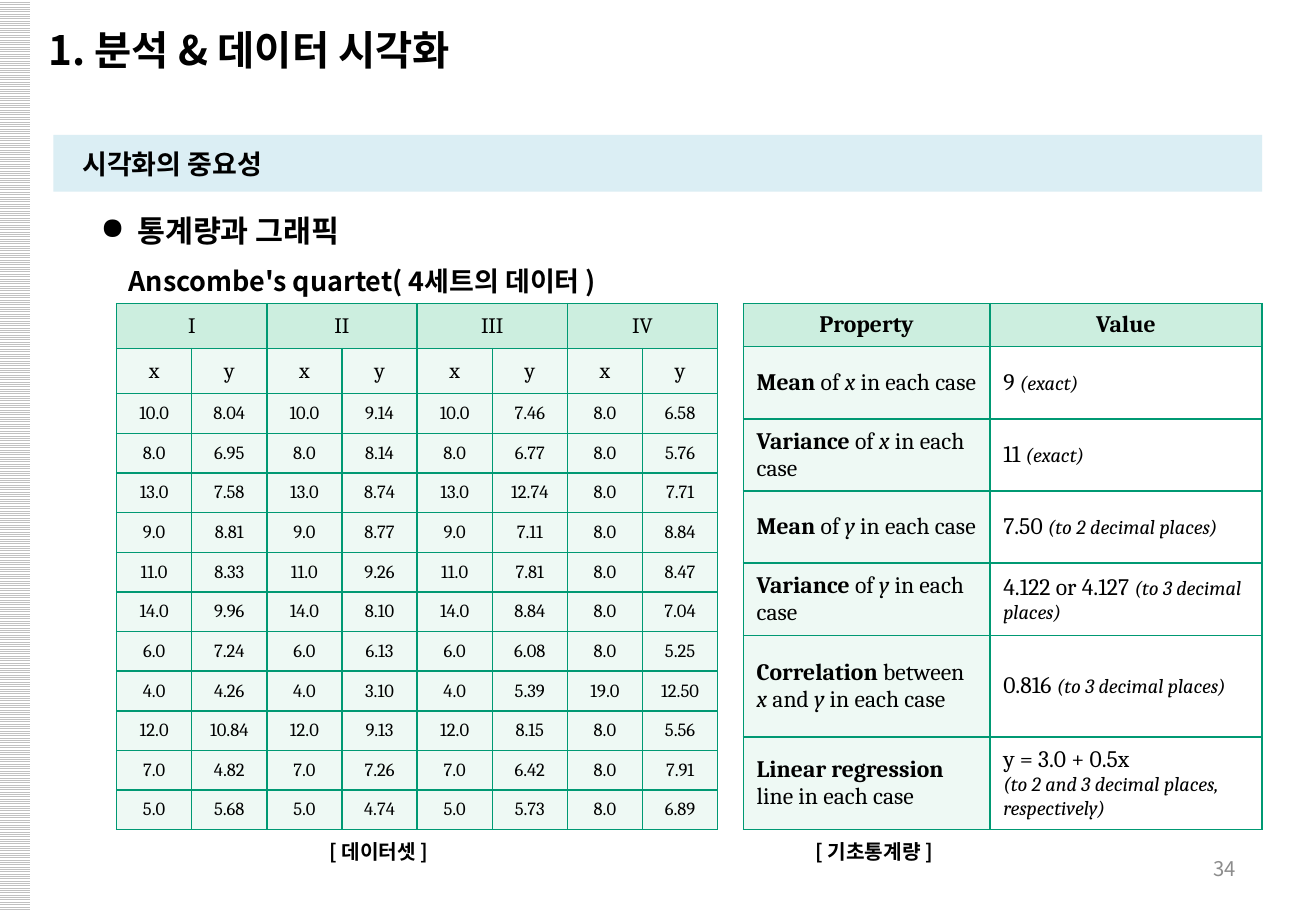
from dataclasses import dataclass
from typing import Any, NamedTuple, Optional

from lxml import etree
from pptx import Presentation
from pptx.dml.color import RGBColor
from pptx.enum import dml, shapes, text
from pptx.oxml import ns
from pptx.util import Pt

BLACK = RGBColor(0x00, 0x00, 0x00)
WHITE = RGBColor(0xFF, 0xFF, 0xFF)
PAGE_GREY = RGBColor(0x8C, 0x8C, 0x8C)
STRIPE_GREY = RGBColor(0xC0, 0xC0, 0xC0)
BAND_BLUE = RGBColor(0xDB, 0xEE, 0xF4)
HEADER_GREEN = RGBColor(0xCC, 0xEE, 0xDF)
BODY_GREEN = RGBColor(0xEE, 0xF9, 0xF4)
BORDER_GREEN = RGBColor(0x00, 0x99, 0x73)

SANS, SERIF = "Noto Sans CJK KR", "Cambria"
LEFT, CENTER, RIGHT = text.PP_ALIGN.LEFT, text.PP_ALIGN.CENTER, text.PP_ALIGN.RIGHT
TOP, MIDDLE = text.MSO_ANCHOR.TOP, text.MSO_ANCHOR.MIDDLE

# Character formats of the tables
HEADING = {"name": SERIF, "size": Pt(13)}
FIGURE = {"name": SERIF, "size": Pt(11)}
PLAIN = {"name": SERIF, "size": Pt(14), "bold": False, "italic": False}
STRONG = PLAIN | {"bold": True}
VARIABLE = PLAIN | {"italic": True}
NOTE = VARIABLE | {"size": Pt(12)}


class Span(NamedTuple):
    words: str
    style: dict[str, Any]


@dataclass
class Label:
    words: str
    left: float
    top: float
    width: float
    height: float
    size: float
    bold: bool = True
    color: RGBColor = BLACK
    align: text.PP_ALIGN = LEFT
    anchor: text.MSO_ANCHOR = TOP
    wrap: bool = True
    fill: Optional[RGBColor] = None
    margin: float = 0
    indent: float = 0
    spacing: float = 1.0
    bullet: str = ""


@dataclass
class CellLook:
    fill: Optional[RGBColor]
    align: text.PP_ALIGN
    side: float
    edge: float


LABELS = [
    Label("34", 571.7, 500.4, 167.8, 28.8, 12, bold=False, color=PAGE_GREY,
          align=RIGHT, anchor=MIDDLE),
    Label("1. 분석 & 데이터 시각화", 21.6, 11.5, 702, 43.2, 24),
    Label("시각화의 중요성", 31.7, 79.9, 716.4, 33.8, 16, fill=BAND_BLUE,
          margin=21.6, indent=-11.5, spacing=1.2),
    Label("통계량과 그래픽", 52.6, 118.1, 166.3, 33.8, 18, wrap=False,
          margin=21.6, indent=-21.6, spacing=1.2, bullet="●"),
    Label("Anscombe's quartet( 4세트의 데이터 )", 69.1, 153.4, 596.2, 26.6, 16),
    Label("[ 데이터셋 ]", 144.6, 493.9, 160, 21.6, 12, align=CENTER),
    Label("[ 기초통계량 ]", 438.2, 493.9, 160, 21.6, 12, align=CENTER),
]

SETS = ["I", "II", "III", "IV"]
QUARTET = [row.split() for row in (
    "10.0 8.04 10.0 9.14 10.0 7.46 8.0 6.58",
    "8.0 6.95 8.0 8.14 8.0 6.77 8.0 5.76",
    "13.0 7.58 13.0 8.74 13.0 12.74 8.0 7.71",
    "9.0 8.81 9.0 8.77 9.0 7.11 8.0 8.84",
    "11.0 8.33 11.0 9.26 11.0 7.81 8.0 8.47",
    "14.0 9.96 14.0 8.10 14.0 8.84 8.0 7.04",
    "6.0 7.24 6.0 6.13 6.0 6.08 8.0 5.25",
    "4.0 4.26 4.0 3.10 4.0 5.39 19.0 12.50",
    "12.0 10.84 12.0 9.13 12.0 8.15 8.0 5.56",
    "7.0 4.82 7.0 7.26 7.0 6.42 8.0 7.91",
    "5.0 5.68 5.0 4.74 5.0 5.73 8.0 6.89",
)]


def moment(name: str, variable: str) -> list[list[Span]]:
    return [[Span(name, STRONG), Span(" of ", PLAIN), Span(variable, VARIABLE),
             Span(" in each case", PLAIN)]]


def result(value: str, note: str) -> list[list[Span]]:
    return [[Span(f"{value} ", PLAIN), Span(note, NOTE)]]


STATISTICS = [
    (moment("Mean", "x"), result("9", "(exact)")),
    (moment("Variance", "x"), result("11", "(exact)")),
    (moment("Mean", "y"), result("7.50", "(to 2 decimal places)")),
    (moment("Variance", "y"), result("4.122 or 4.127", "(to 3 decimal places)")),
    ([[Span("Correlation", STRONG), Span(" between ", PLAIN), Span("x", VARIABLE),
       Span(" and ", PLAIN), Span("y", VARIABLE), Span(" in each case", PLAIN)]],
     result("0.816", "(to 3 decimal places)")),
    ([[Span("Linear regression ", STRONG), Span("line in each case", PLAIN)]],
     [[Span("y = 3.0 + 0.5x", PLAIN)],
      [Span("(to 2 and 3 decimal places, respectively)", NOTE)]]),
]


def add_element(parent, tag: str, **attributes: str):
    return etree.SubElement(parent, ns.qn(tag), attributes)


def add_span(para, span: Span, color: RGBColor = BLACK) -> None:
    run = para.add_run()
    run.text = span.words
    for key, value in span.style.items():
        setattr(run.font, key, value)
    run.font.color.rgb = color
    add_element(run._r.get_or_add_rPr(), "a:ea", typeface=span.style["name"])


def add_label(page, label: Label) -> None:
    place = [Pt(n) for n in (label.left, label.top, label.width, label.height)]
    if label.fill is None:
        box = page.shapes.add_textbox(*place)
    else:
        box = page.shapes.add_shape(shapes.MSO_SHAPE.RECTANGLE, *place)
        box.shadow.inherit = False
        box.fill.solid()
        box.fill.fore_color.rgb = label.fill
        box.line.fill.background()
    box.text_frame.word_wrap = label.wrap
    box.text_frame.vertical_anchor = label.anchor
    para = box.text_frame.paragraphs[0]
    para.alignment = label.align
    para.line_spacing = label.spacing
    properties = para._p.get_or_add_pPr()
    properties.set("marL", str(Pt(label.margin)))
    properties.set("indent", str(Pt(label.indent)))
    if label.bullet:
        add_element(properties, "a:buChar", char=label.bullet)
    style = {"name": SANS, "size": Pt(label.size), "bold": label.bold}
    add_span(para, Span(label.words, style), label.color)


def add_grid(page, left: float, top: float, widths: list[float], heights: list[float]):
    frame = page.shapes.add_table(len(heights), len(widths), Pt(left), Pt(top),
                                  Pt(sum(widths)), Pt(sum(heights)))
    grid = frame.table
    grid.first_row = grid.horz_banding = False
    for column, width in zip(grid.columns, widths):
        column.width = Pt(width)
    for row, height in zip(grid.rows, heights):
        row.height = Pt(height)
    for cell in grid.iter_cells():
        for side in ("a:lnL", "a:lnR", "a:lnT", "a:lnB"):
            line = add_element(cell._tc.get_or_add_tcPr(), side, w=str(Pt(1)))
            add_element(add_element(line, "a:solidFill"), "a:srgbClr", val=str(BORDER_GREEN))
    return grid


def fill_cell(cell, paragraphs: list[list[Span]], look: CellLook) -> None:
    cell.vertical_anchor = MIDDLE
    cell.margin_left = cell.margin_right = Pt(look.side)
    cell.margin_top = cell.margin_bottom = Pt(look.edge)
    if look.fill is None:
        cell.fill.background()
    else:
        cell.fill.solid()
        cell.fill.fore_color.rgb = look.fill
    frame = cell.text_frame
    for index, spans in enumerate(paragraphs):
        para = frame.add_paragraph() if index else frame.paragraphs[0]
        para.alignment = look.align
        for span in spans:
            add_span(para, span)


def add_quartet(page) -> None:
    grid = add_grid(page, 69.1, 180, [44.55] * 8, [26.7] * 2 + [23.5] * len(QUARTET))
    for index, name in enumerate(SETS):
        head = grid.cell(0, 2 * index)
        head.merge(grid.cell(0, 2 * index + 1))
        fill_cell(head, [[Span(name, HEADING)]], CellLook(HEADER_GREEN, CENTER, 5.8, 2.9))
    for row, values in enumerate([["x", "y"] * len(SETS)] + QUARTET, start=1):
        style = HEADING if row == 1 else FIGURE
        for column, value in enumerate(values):
            fill_cell(grid.cell(row, column), [[Span(value, style)]],
                      CellLook(BODY_GREEN, CENTER, 5.8, 2.9))


def add_statistics(page) -> None:
    grid = add_grid(page, 440.6, 180, [146.2, 161.3], [25.5] + [42.8] * 4 + [60.4, 54.9])
    for column, name in enumerate(("Property", "Value")):
        fill_cell(grid.cell(0, column), [[Span(name, STRONG)]],
                  CellLook(HEADER_GREEN, CENTER, 7.9, 3.6))
    for row, pair in enumerate(STATISTICS, start=1):
        for column, (paragraphs, fill) in enumerate(zip(pair, (BODY_GREEN, None))):
            fill_cell(grid.cell(row, column), paragraphs, CellLook(fill, LEFT, 7.9, 3.6))


def main() -> None:
    deck = Presentation()
    deck.slide_width, deck.slide_height = Pt(780), Pt(540)
    page = deck.slides.add_slide(deck.slide_layouts[6])
    # Striped strip at the left edge
    strip = page.shapes.add_shape(shapes.MSO_SHAPE.RECTANGLE, Pt(-0.7), Pt(0), Pt(18.7), Pt(540))
    strip.shadow.inherit = False
    strip.line.fill.background()
    strip.fill.patterned()
    strip.fill.pattern = dml.MSO_PATTERN.LIGHT_HORIZONTAL
    strip.fill.fore_color.rgb, strip.fill.back_color.rgb = STRIPE_GREY, WHITE
    # Headings, captions and page number
    for label in LABELS:
        add_label(page, label)
    # Data set and summary tables
    add_quartet(page)
    add_statistics(page)
    deck.save("out.pptx")


if __name__ == "__main__":
    main()
